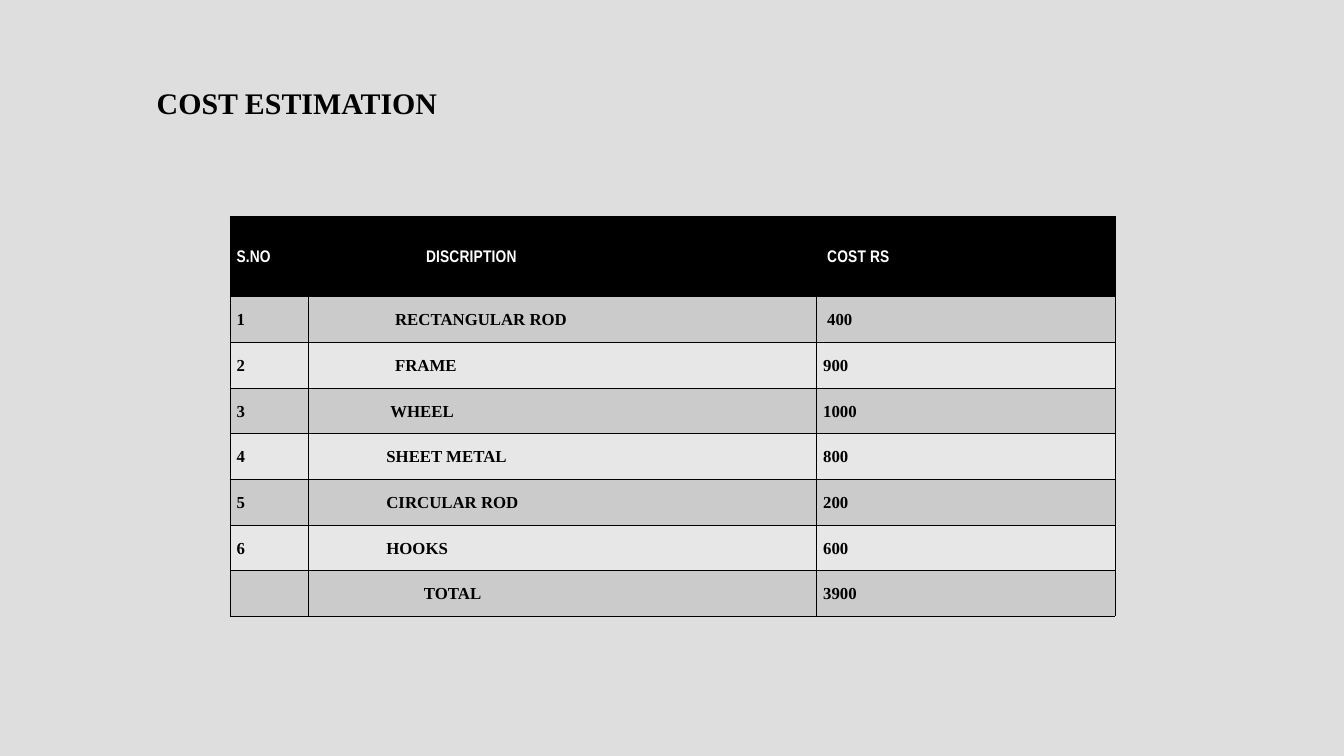
from dataclasses import dataclass
from lxml.etree import SubElement
from pptx import Presentation
from pptx.dml.color import RGBColor as RGB
from pptx.enum.text import MSO_ANCHOR as Anchor, PP_ALIGN as Align
from pptx.oxml.ns import qn
from pptx.util import Inches, Pt


@dataclass(frozen=True)
class Theme:
    backdrop: str = "DEDEDE"
    ink: str = "000000"
    paper: str = "FFFFFF"
    odd_row: str = "CBCBCB"
    even_row: str = "E7E7E7"
    serif: str = "Times New Roman"
    narrow: str = "Arial Narrow"
    title_size: float = 32
    cell_size: float = 18
    border: float = 0.37


theme = Theme()


def write(paragraph, text, font, size, color):
    run = paragraph.add_run()
    run.text = text
    paragraph.line_spacing = Pt(size * (1.8 if size == theme.title_size else 1.2))
    for key, value in {"name": font, "size": Pt(size), "bold": True}.items():
        setattr(run.font, key, value)
    run.font.color.rgb = RGB.from_string(color)
    return run


def outline(cell):
    props = cell._tc.get_or_add_tcPr()
    for position, side in enumerate(("lnL", "lnR", "lnT", "lnB")):
        line = SubElement(props, qn(f"a:{side}"), w=str(Pt(theme.border)))
        fill = SubElement(line, qn("a:solidFill"))
        SubElement(fill, qn("a:srgbClr"), val=theme.ink)
        props.insert(position, line)


deck = Presentation()
deck.slide_width, deck.slide_height = Inches(20), Inches(11.25)
slide = deck.slides.add_slide(deck.slide_layouts[6])
slide.background.fill.solid()
slide.background.fill.fore_color.rgb = RGB.from_string(theme.backdrop)

heading = slide.shapes.add_textbox(Inches(-0.48), Inches(0.99), Inches(9.8), Inches(0.98)).text_frame
for key, value in {"word_wrap": True, "margin_left": 0, "margin_right": 0,
                   "margin_top": 0, "margin_bottom": 0}.items():
    setattr(heading, key, value)
heading.paragraphs[0].alignment = Align.CENTER
write(heading.paragraphs[0], "COST ESTIMATION", theme.serif, theme.title_size, theme.ink)

costs = [
    ("S.NO", "DISCRIPTION", "COST RS"),
    ("1", "RECTANGULAR ROD", "400"),
    ("2", "FRAME", "900"),
    ("3", "WHEEL", "1000"),
    ("4", "SHEET METAL", "800"),
    ("5", "CIRCULAR ROD", "200"),
    ("6", "HOOKS", "600"),
    ("", "TOTAL", "3900"),
]
description_indents = [1.75, 1.29, 1.29, 1.22, 1.16, 1.16, 1.16, 1.72]
cost_indents = [0.16, 0.16] + [0.1] * 6
column_widths = [1.17, 7.56, 4.44]
row_heights = [1.2] + [0.68] * 7

estimate = slide.shapes.add_table(len(costs), len(column_widths), Inches(3.42), Inches(3.21),
                                  Inches(sum(column_widths)), Inches(sum(row_heights))).table
estimate.horz_banding = False
for column, width in zip(estimate.columns, column_widths):
    column.width = Inches(width)

for r, entries in enumerate(costs):
    estimate.rows[r].height = Inches(row_heights[r])
    header = r == 0
    shade = theme.ink if header else theme.odd_row if r % 2 else theme.even_row
    font, color = (theme.narrow, theme.paper) if header else (theme.serif, theme.ink)
    indents = (0.1, description_indents[r], cost_indents[r])
    for c, (entry, indent) in enumerate(zip(entries, indents)):
        cell = estimate.cell(r, c)
        for key, value in {"margin_left": Inches(indent), "margin_right": Inches(0.1),
                           "margin_top": Inches(0.1), "margin_bottom": Inches(0.1),
                           "vertical_anchor": Anchor.MIDDLE}.items():
            setattr(cell, key, value)
        cell.fill.solid()
        cell.fill.fore_color.rgb = RGB.from_string(shade)
        outline(cell)
        if entry:
            run = write(cell.text_frame.paragraphs[0], entry, font, theme.cell_size, color)
            if header:
                run._r.get_or_add_rPr().set("spc", "20")

deck.save("out.pptx")
